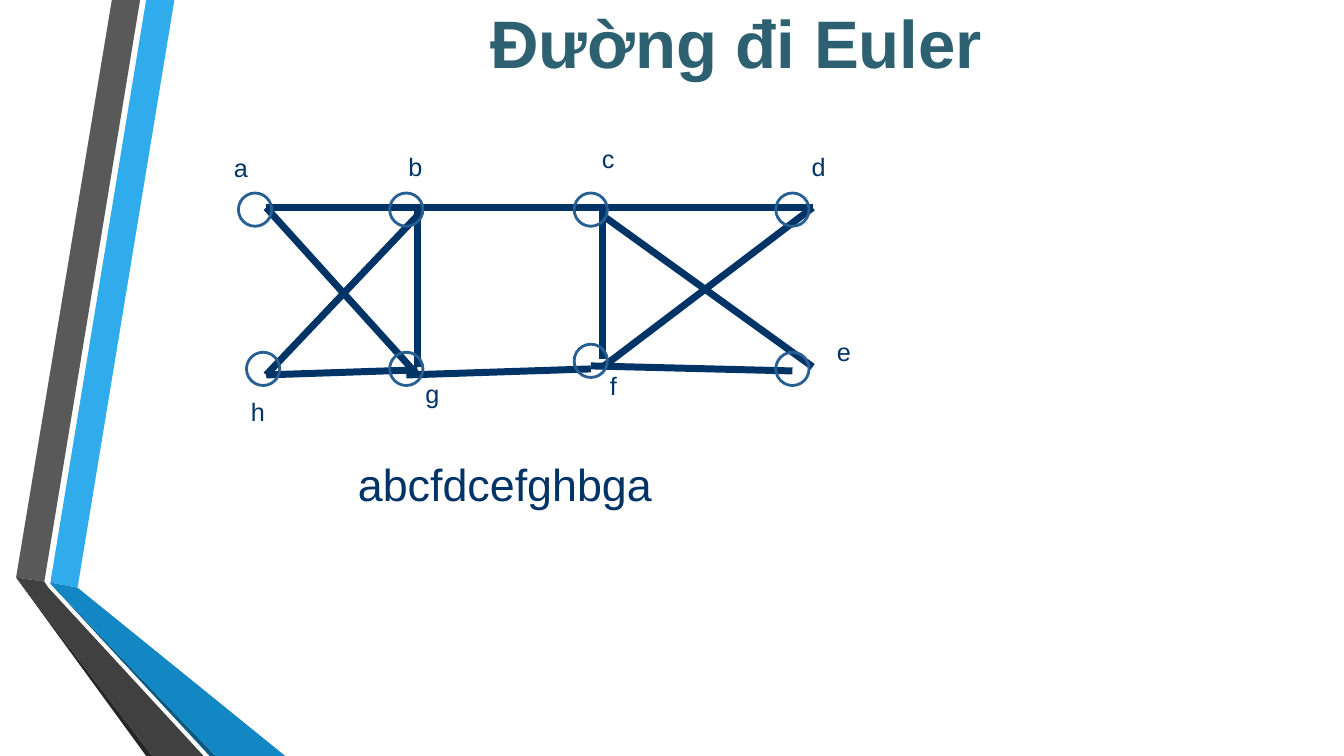
from pptx import Presentation, util as u
from pptx.dml.color import RGBColor
from pptx.enum import shapes, text

NAVY = "003366"
color = RGBColor.from_string

deck = Presentation()
deck.slide_width, deck.slide_height = u.Inches(13.33), u.Inches(7.5)
slide = deck.slides.add_slide(deck.slide_layouts[5])
items = slide.shapes


def write(box, words, size, hue):
    frame = box.text_frame
    frame.margin_right = frame.margin_bottom = 0
    frame.margin_left = frame.margin_top = u.Inches(0.01)
    run = frame.paragraphs[0].add_run()
    run.text = words
    run.font.name, run.font.size = "Arial", u.Pt(size)
    run.font.color.rgb = color(hue)


def trace(paths, close):
    """Make one outline of several paths, given in inches."""
    grid = [[(round(x * 100), round(y * 100)) for x, y in path]
            for path in paths]
    pen = items.build_freeform(*grid[0][0], scale=u.Inches(0.01))
    for path in grid:
        if path is not grid[0]:
            pen.move_to(*path[0])
        pen.add_line_segments(path[1:], close=close)
    form = pen.convert_to_shape()
    form.shadow.inherit = False
    return form


# Folded ribbons on the left
ribbons = [
    ("30ACEC", [(0.5, 5.78), (0.77, 5.83), (1.73, 0), (1.45, 0)]),
    ("595959", [(1.39, 0), (1.11, 0), (0.16, 5.73), (0.44, 5.77)]),
    ("262626", [(0.16, 5.73), (1.45, 7.5), (1.51, 7.5)]),
    ("0C5A82", [(0.5, 5.79), (2.08, 7.5), (2.14, 7.5)]),
    ("1287C3", [(0.5, 5.78), (0.5, 5.79), (2.14, 7.5), (2.83, 7.5),
                (0.77, 5.83)]),
    ("404040", [(2.02, 7.5), (0.48, 5.83), (0.44, 5.77), (0.16, 5.73),
                (1.51, 7.5)]),
]
for hue, points in ribbons:
    band = trace([points], True)
    band.fill.solid()
    band.fill.fore_color.rgb = color(hue)
    band.line.fill.background()

# Title
title = items.title
title.left, title.top = u.Inches(1.26), 0
title.width, title.height = u.Inches(12.08), u.Inches(0.82)
write(title, "Đường đi Euler", 48, "2D6171")
title.text_frame.vertical_anchor = text.MSO_ANCHOR.MIDDLE
title.text_frame.paragraphs[0].alignment = text.PP_ALIGN.CENTER
title.text_frame.paragraphs[0].runs[0].font.bold = True

# Edges: four columns between a top and a bottom row
cols = [2.64, 4.14, 5.98, 8.06]
top, low, base = 2.06, 3.64, 3.72
straight = [[(left, top), (right, top)] for left, right in zip(cols, cols[1:])]
straight += [[(cols[1], top), (cols[1], low)], [(cols[2], top), (cols[2], 3.56)]]
crossed = [
    [(cols[0], base), (cols[1], 3.67)],
    [(cols[0], top), (cols[1], base)],
    [(cols[1], 2.14), (cols[0], base)],
    [(cols[3], top), (cols[2], low)],
    [(cols[2], 2.14), (cols[3], low)],
]
bottom = [[(4.03, base), (5.86, 3.66)], [(5.86, 3.63), (7.86, 3.68)]]
for paths in (straight, crossed, bottom):
    edges = trace(paths, False)
    edges.fill.background()
    edges.line.width = u.Pt(5)
    edges.line.color.rgb = color(NAVY)

# Nodes: name, label corner, circle centre
nodes = [
    ("a", 2.31, 1.5, 2.53, 2.08), ("b", 4.04, 1.49, 4.03, 2.08),
    ("c", 5.96, 1.41, 5.86, 2.08), ("d", 8.04, 1.49, 7.86, 2.08),
    ("e", 8.29, 3.33, 7.86, 3.66), ("f", 6.04, 3.66, 5.86, 3.58),
    ("g", 4.21, 3.74, 4.03, 3.66), ("h", 2.48, 3.92, 2.61, 3.66),
]
size = 0.33
for name, left, head, mid, row in nodes:
    label = items.add_textbox(u.Inches(left), u.Inches(head),
                              u.Inches(0.17), u.Inches(0.33))
    write(label, name, 18, NAVY)
    ring = items.add_shape(shapes.MSO_SHAPE.OVAL,
                           u.Inches(mid - size / 2), u.Inches(row - size / 2),
                           u.Inches(size), u.Inches(size))
    ring.shadow.inherit = False
    ring.fill.background()
    ring.line.width = u.Pt(2)
    ring.line.color.rgb = color("275F92")

# Euler path
answer = items.add_textbox(u.Inches(3.54), u.Inches(4.52),
                           u.Inches(2.94), u.Inches(0.56))
write(answer, "abcfdcefghbga", 32, NAVY)

deck.save("out.pptx")
